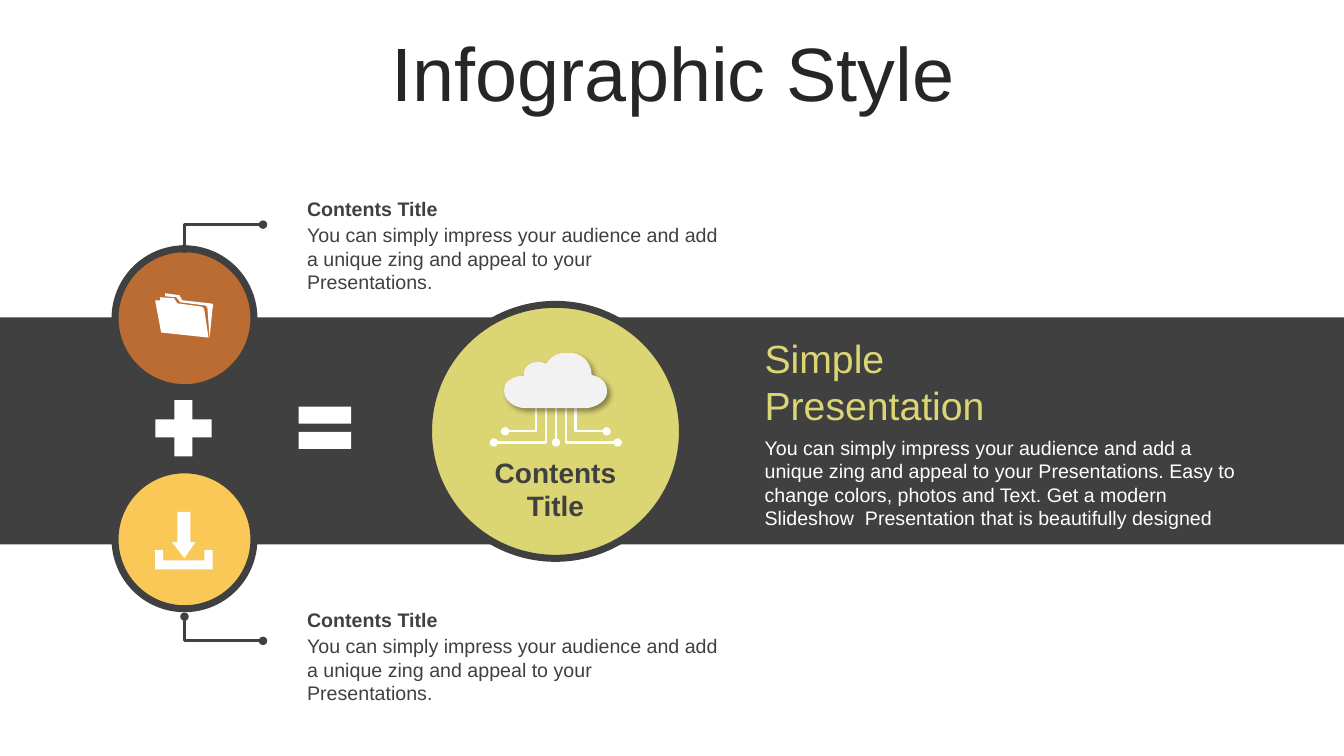
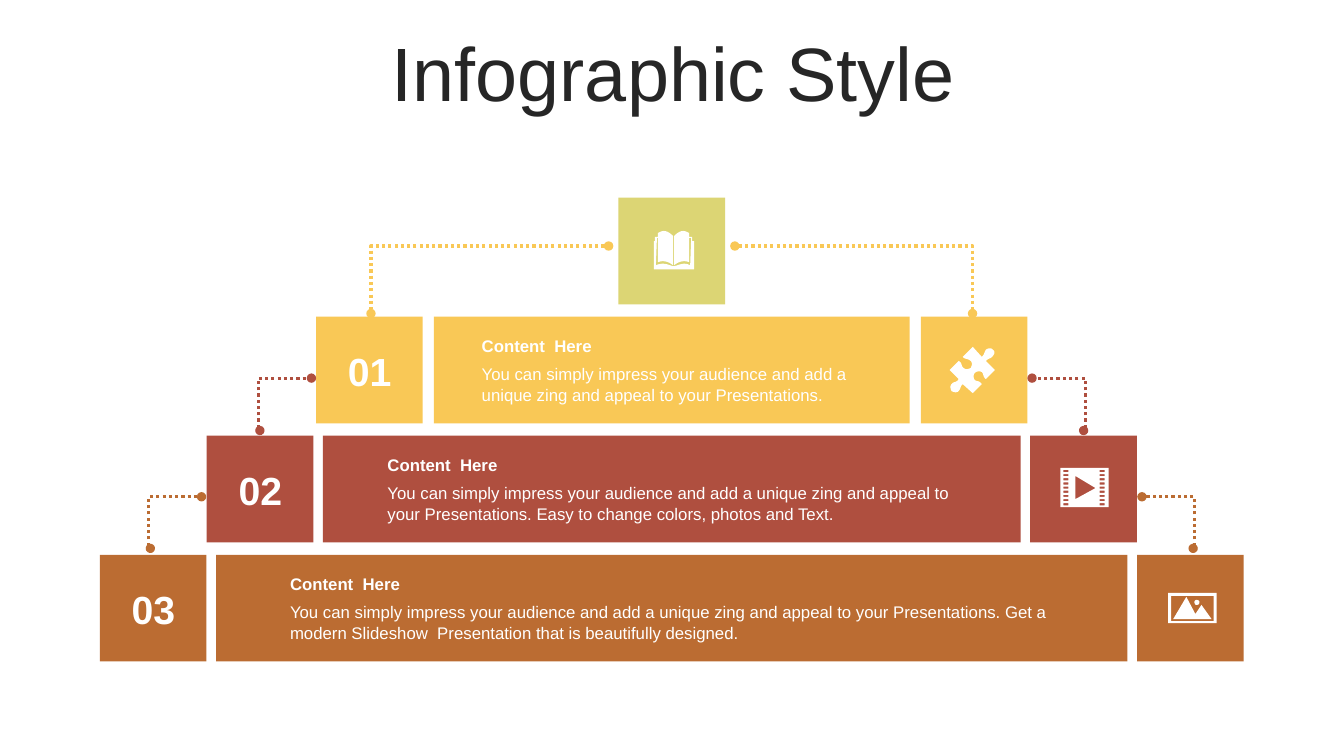
from lxml.etree import SubElement
from pptx import Presentation
from pptx.dml.color import RGBColor
from pptx.enum.dml import MSO_LINE
from pptx.enum.shapes import MSO_CONNECTOR, MSO_SHAPE
from pptx.enum.text import MSO_ANCHOR, MSO_AUTO_SIZE, PP_ALIGN
from pptx.oxml.ns import qn
from pptx.util import Cm, Pt

FONT = "Arial"
INK, DARK, WHITE, CLOUD_GREY = "262626", "404040", "FFFFFF", "F2F2F2"
ORANGE, YELLOW, LIME, RED = "BB6C32", "F9C856", "DCD574", "AF4F3F"
PAGE_WIDTH, PAGE_HEIGHT = 33.87, 19.05
CENTRE = 16.93

INVITE = "You can simply impress your audience and add a unique zing and appeal to your Presentations."
EASY = " Easy to change colors, photos and Text."
MODERN = " Get a modern Slideshow  Presentation that is beautifully designed"


def colour(code):
    return RGBColor.from_string(code)


def rectangle_outline(x, y, width, height):
    right, bottom = x + width, y + height
    return f"M {x} {y} L {right} {y} L {right} {bottom} L {x} {bottom} "


def flatten(outline, steps=8):
    tokens = iter(outline.split())
    contours = []
    for command in tokens:
        count = 3 if command == "C" else 1
        points = [(float(next(tokens)), float(next(tokens))) for _ in range(count)]
        if command == "M":
            contours.append(points)
        elif command == "L":
            contours[-1] += points
        else:
            corners = [contours[-1][-1]] + points
            for step in range(1, steps + 1):
                t = step / steps
                weights = ((1 - t) ** 3, 3 * t * (1 - t) ** 2, 3 * t * t * (1 - t), t ** 3)
                contours[-1].append(tuple(
                    sum(weight * corner[axis] for weight, corner in zip(weights, corners))
                    for axis in (0, 1)))
    return [[(x * 100, y * 100) for x, y in contour] for contour in contours]


CLOUD = ("M 64 0 C 65 0 66 0 67 0 C 83 2 87 15 87 22 C 102 25 103 36 102 41 "
         "C 100 51 86 55 81 55 L 20 55 C 12 54 7 51 3 46 C -1 41 0 34 2 30 "
         "C 4 28 11 22 20 23 C 19 18 22 13 26 11 C 31 8 38 9 42 11 C 44 7 51 -1 64 0")
FOLDER = ("M 5 4 L 19 5 L 22 10 L 44 13 C 48 13 49 16 49 18 L 53 44 L 6 39 L 0 7 L 5 7 "
          "M 10 0 L 24 2 L 27 7 L 54 10 C 58 10 58 12 57 15 L 54 44 L 52 16 "
          "C 52 14 51 12 48 12 L 25 9 L 21 4 L 10 3 C 10 2 10 1 10 0")
DOWNLOAD = ("M 0 38 L 8 38 L 8 48 L 49 48 L 49 38 L 57 38 L 57 57 L 0 57 "
            "M 22 0 L 35 0 L 35 30 L 40 30 L 29 46 L 17 30 L 22 30")
PUZZLE = ("M 43 3 C 45 4 45 7 43 9 C 41 12 39 11 36 14 L 45 23 L 36 32 "
          "C 33 30 34 27 32 25 C 30 24 27 24 25 26 C 24 27 23 30 25 33 "
          "C 28 35 29 33 32 37 L 23 46 L 13 37 C 10 40 12 40 9 44 C 7 46 4 45 2 44 "
          "C 1 42 0 39 2 37 C 4 34 7 36 9 32 L 0 23 L 9 14 C 13 16 11 19 14 21 "
          "C 16 23 19 22 21 21 C 22 19 23 16 21 14 C 17 11 16 13 13 10 L 23 0 "
          "L 32 10 C 35 7 34 6 36 3 C 38 1 42 1 43 3")
BOOK = ("M 19 35 L 20 35 C 27 33 30 31 36 34 L 37 7 L 35 7 L 35 31 C 30 29 25 30 20 34 "
        "L 20 5 C 23 2 26 0 29 0 C 31 0 33 1 35 2 L 35 6 L 38 6 L 38 10 L 40 10 L 40 38 "
        "L 0 38 L 0 10 L 1 10 L 1 6 L 4 6 L 4 2 C 6 1 8 0 10 0 C 13 0 16 2 19 5 "
        "L 19 34 C 14 30 9 29 4 31 L 4 7 L 3 7 L 2 34 C 9 31 13 33 19 35")
FILM = (rectangle_outline(0, 0, 48, 39) + "M 15 8 L 15 31 L 35 20 "
        + "".join(rectangle_outline(x, 2 + 4.13 * row, 5, 2.1)
                  for x in (3, 39) for row in range(9)))
PHOTO = (rectangle_outline(0, 0, 48, 30) + rectangle_outline(3, 3, 42, 25)
         + "M 18 4 L 27 21 L 33 12 L 43 26 L 5 26 "
         "M 28 7 C 30 7 31 8 31 9 C 31 11 30 12 28 12 C 27 12 26 11 26 9 C 26 8 27 7 28 7")


class Deck:
    def __init__(self):
        self.deck = Presentation()
        self.deck.slide_width, self.deck.slide_height = Cm(PAGE_WIDTH), Cm(PAGE_HEIGHT)
        self.page = None

    def add_page(self, title):
        self.page = self.deck.slides.add_slide(self.deck.slide_layouts[5])
        box = self.page.shapes.title
        box.left, box.top, box.width, box.height = Cm(0.89), Cm(0.94), Cm(32.16), Cm(2.01)
        self.add_lines(box.text_frame, [title], 54, INK, align=PP_ALIGN.CENTER)
        box.text_frame.auto_size = MSO_AUTO_SIZE.NONE
        box.text_frame.vertical_anchor = MSO_ANCHOR.MIDDLE
        box.text_frame.paragraphs[0].line_spacing = 0.9

    def add_lines(self, frame, lines, size, ink, bold=False, align=PP_ALIGN.LEFT):
        frame.word_wrap = True
        for index, line in enumerate(lines):
            para = frame.paragraphs[0] if index == 0 else frame.add_paragraph()
            para.alignment = align
            span = para.add_run()
            span.text = line
            span.font.name, span.font.size, span.font.bold = FONT, Pt(size), bold
            span.font.color.rgb = colour(ink)

    def text(self, x, y, width, height, lines, size, ink, bold=False,
             align=PP_ALIGN.LEFT, anchor=MSO_ANCHOR.TOP):
        box = self.page.shapes.add_textbox(Cm(x), Cm(y), Cm(width), Cm(height))
        self.add_lines(box.text_frame, lines, size, ink, bold, align)
        box.text_frame.vertical_anchor = anchor
        box.text_frame.auto_size = MSO_AUTO_SIZE.SHAPE_TO_FIT_TEXT

    def paint(self, shape, fill, outline=None):
        shape.shadow.inherit = False
        shape.fill.solid()
        shape.fill.fore_color.rgb = colour(fill)
        if outline:
            shape.line.color.rgb = colour(outline)
            shape.line.width = Pt(5)
        else:
            shape.line.fill.background()

    def shape(self, kind, x, y, width, height, fill, outline=None):
        shape = self.page.shapes.add_shape(kind, Cm(x), Cm(y), Cm(width), Cm(height))
        self.paint(shape, fill, outline)

    def icon(self, outline, x, y, fill=WHITE):
        first, *others = flatten(outline)
        builder = self.page.shapes.build_freeform(*first[0], scale=Cm(2.54) / 10000)
        builder.add_line_segments(first[1:], close=True)
        for contour in others:
            builder.move_to(*contour[0])
            builder.add_line_segments(contour[1:], close=True)
        shape = builder.convert_to_shape(Cm(x), Cm(y))
        self.paint(shape, fill)
        return shape

    def drop_shadow(self, shape):
        effects = shape._element.spPr.find(qn("a:effectLst"))
        shadow = SubElement(effects, qn("a:outerShdw"), blurRad=str(Pt(4)), dist=str(Pt(3)),
                            dir="2700000", algn="tl", rotWithShape="0")
        black = SubElement(shadow, qn("a:srgbClr"), val="000000")
        SubElement(black, qn("a:alpha"), val="40000")

    def connector(self, begin, end, ink, width, kind=MSO_CONNECTOR.ELBOW, bend=None,
                  dotted=False, both_ends=True):
        link = self.page.shapes.add_connector(kind, *(Cm(value) for value in begin + end))
        link.line.color.rgb = colour(ink)
        link.line.width = Pt(width)
        if dotted:
            link.line.dash_style = MSO_LINE.ROUND_DOT
        properties = link._element.spPr
        if kind == MSO_CONNECTOR.ELBOW:
            geometry = properties.find(qn("a:prstGeom"))
            if bend is None:
                geometry.set("prst", "bentConnector2")
            else:
                SubElement(geometry.find(qn("a:avLst")), qn("a:gd"),
                           name="adj1", fmla=f"val {round(bend * 100000)}")
        line = properties.find(qn("a:ln"))
        for tag in ("a:headEnd", "a:tailEnd") if both_ends else ("a:tailEnd",):
            SubElement(line, qn(tag), type="oval")
        SubElement(properties, qn("a:effectLst"))

    def captioned_text(self, x, y, width, caption, body, size, ink, gap):
        self.text(x, y, width, gap, [caption], size, ink, bold=True)
        self.text(x, y + gap, width, 1.4, [body], size, ink)


def build_equation_page(deck):
    deck.add_page("Infographic Style")
    deck.shape(MSO_SHAPE.RECTANGLE, 0, 8, PAGE_WIDTH, 5.72, DARK)
    for y, fill in ((6.27, ORANGE), (11.84, YELLOW)):
        deck.shape(MSO_SHAPE.OVAL, 2.9, y, 3.5, 3.5, fill, DARK)
    deck.shape(MSO_SHAPE.MATH_PLUS, 3.66, 9.83, 1.93, 1.93, WHITE)
    deck.shape(MSO_SHAPE.MATH_EQUAL, 7.29, 9.88, 1.8, 1.8, WHITE)
    deck.shape(MSO_SHAPE.OVAL, 10.8, 7.67, 6.4, 6.4, LIME, DARK)
    deck.text(19.02, 8.31, 12.7, 2.64, ["Simple", "Presentation"], 28, LIME)
    deck.text(19.02, 10.85, 12.7, 2.64, [INVITE + EASY + MODERN], 14, WHITE)
    deck.text(10.8, 11.35, 6.4, 1.96, ["Contents", "Title"], 20, DARK, True, PP_ALIGN.CENTER)
    for note_y, begin_y, end_y in ((4.83, 5.66, 6.27), (15.19, 16.15, 15.54)):
        deck.captioned_text(7.49, note_y, 10.9, "Contents Title", INVITE, 14, DARK, 0.67)
        deck.connector((6.63, begin_y), (4.65, end_y), DARK, 2)

    cloud_centre = 14.01
    for side in (-1, 1):
        for near, far, top, bottom, bend in ((0.49, 1.28, 10.21, 10.87, 0.007),
                                             (0.21, 1.56, 10.11, 11.15, 0.029)):
            deck.connector((cloud_centre + side * near, top), (cloud_centre + side * far, bottom),
                           WHITE, 1.5, bend=bend, both_ends=False)
    deck.connector((cloud_centre, 9.93), (cloud_centre, 11.15), WHITE, 1.5,
                   kind=MSO_CONNECTOR.STRAIGHT, both_ends=False)
    deck.drop_shadow(deck.icon(CLOUD, 12.7, 8.89, CLOUD_GREY))
    deck.icon(FOLDER, 3.91, 7.39)
    deck.icon(DOWNLOAD, 3.91, 12.9)


def build_pyramid_page(deck):
    deck.add_page("Infographic Style")
    tile, top, pitch = 2.69, 4.98, 3
    deck.shape(MSO_SHAPE.RECTANGLE, CENTRE - tile / 2, top, tile, tile, LIME)
    deck.icon(BOOK, 16.48, 5.82)

    tiers = (
        (YELLOW, 17.93, 11.99, 10.08, INVITE, PUZZLE, (23.93, 8.74),
         (1.59, 6.2), (7.58, 7.9), None),
        (RED, 23.44, 17.58, 14.83, INVITE + EASY, FILM, (26.72, 11.79),
         (10.38, 10.85), (9.08, 9.53), -0.029),
        (ORANGE, 28.83, 22.96, 19.74, INVITE + MODERN + ".", PHOTO, (29.44, 14.94),
         (13.14, 13.82), (11.85, 12.52), -0.029),
    )
    for number, tier in enumerate(tiers, 1):
        fill, outer, bar, text_width, body, icon, icon_place, begin, end, bend = tier
        y = top + number * pitch
        left = CENTRE - outer / 2
        for x, width in ((left, tile), (CENTRE - bar / 2, bar), (left + outer - tile, tile)):
            deck.shape(MSO_SHAPE.RECTANGLE, x, y, width, tile, fill)
        deck.text(left + 0.46, y + 0.64, 1.78, 1.45, [f"{number:02}"], 28, WHITE, True,
                  PP_ALIGN.CENTER, MSO_ANCHOR.MIDDLE)
        deck.captioned_text(CENTRE - text_width / 2, y + 0.36, text_width,
                            "Content  Here", body, 12, WHITE, 0.71)
        deck.icon(icon, *icon_place)
        for side in (-1, 1):
            deck.connector((CENTRE + side * begin[0], begin[1]), (CENTRE + side * end[0], end[1]),
                           fill, 2.25, bend=bend, dotted=True)


def main():
    deck = Deck()
    build_equation_page(deck)
    build_pyramid_page(deck)
    deck.deck.save("out.pptx")


if __name__ == "__main__":
    main()
